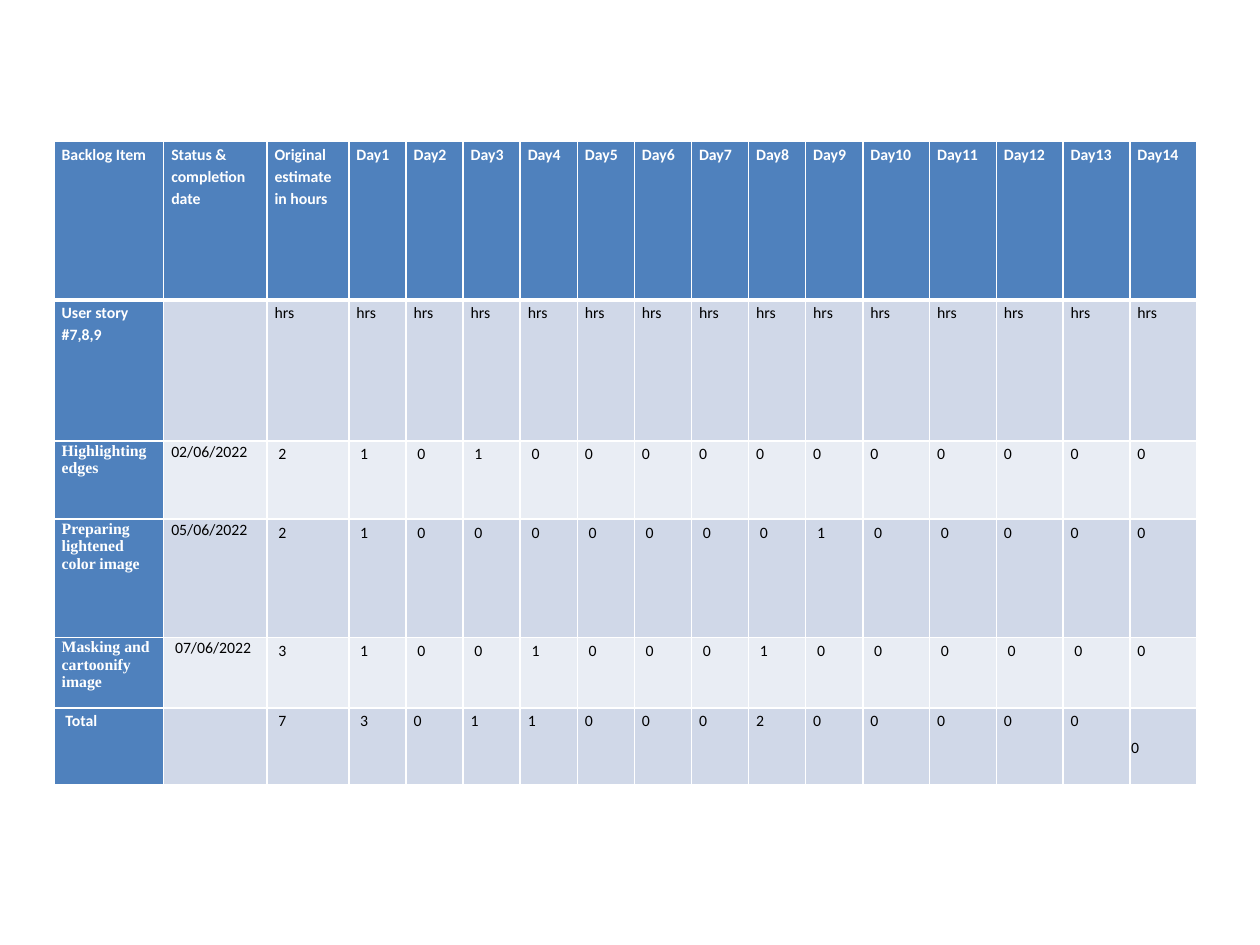
from dataclasses import dataclass

from lxml.etree import SubElement as Sub
from pptx import Presentation
from pptx.dml.color import RGBColor as RGB
from pptx.enum.text import MSO_ANCHOR as Anchor
from pptx.oxml.ns import qn
from pptx.util import Inches, Pt


@dataclass(frozen=True)
class Theme:
    """Colours, fonts and sizes of the slide."""

    head: str = "4F81BD"
    dark: str = "D0D8E8"
    light: str = "E9EDF4"
    white: str = "FFFFFF"
    black: str = "000000"
    sans: str = "Calibri"
    serif: str = "Times New Roman"
    size: int = 9
    after: int = 10
    lead: float = 1.15
    thin: int = 1
    thick: int = 3


@dataclass(frozen=True)
class Row:
    """One table row, with the columns whose text is set further in."""

    texts: list
    height: float
    fill: str
    inset: tuple = ()
    task: bool = False


T = Theme()
DAYS = 14
SHORT = 9
PAD, STEP, EDGE = 0.06, 0.03, 0.01
ROWS = [
    Row(["Backlog Item", "Status & completion date", "Original estimate in hours"]
        + [f"Day{day}" for day in range(1, DAYS + 1)], 1.26, T.head),
    Row(["User story #7,8,9", ""] + ["hrs"] * (DAYS + 1), 1.12, T.dark),
    Row(["Highlighting edges", "02/06/2022", *"210100000000000"],
        0.62, T.light, tuple(range(2, 7)), True),
    Row(["Preparing lightened color image", "05/06/2022", *"210000000100000"],
        0.94, T.dark, tuple(range(2, 14)), True),
    Row(["Masking and cartoonify image", "07/06/2022", *"310010001000000"],
        0.56, T.light, tuple(range(1, 16)), True),
    Row(["Total", "", *"730110002000000"], 0.61, T.dark, (0, 2, 3)),
]


def add_edges(cell, top, base):
    """Draw the four white borders of a cell."""
    props = cell._tc.get_or_add_tcPr()
    for side, width in (("L", T.thin), ("R", T.thin), ("T", top), ("B", base)):
        line = Sub(props, qn(f"a:ln{side}"), w=str(Pt(width)))
        Sub(Sub(line, qn("a:solidFill")), qn("a:srgbClr"), val=T.white)


def add_text(cell, text, bold, serif, loose):
    """Write one styled run into a cell."""
    para = cell.text_frame.paragraphs[0]
    if loose:
        para.line_spacing = T.lead
        para.space_after = Pt(T.after)
    run = para.add_run()
    run.text = text
    font = run.font
    font.name = T.serif if serif else T.sans
    font.size = Pt(T.size)
    font.bold = bold
    font.color.rgb = RGB.from_string(T.white if bold else T.black)


def fill_cell(cell, row, r, c):
    """Set the borders, fill, margins and text of one cell."""
    title = r == 0 or c == 0
    add_edges(cell, T.thick if r == 1 else T.thin, T.thick if r == 0 else T.thin)
    cell.fill.solid()
    cell.fill.fore_color.rgb = RGB.from_string(T.head if title else row.fill)
    cell.margin_left = Inches(PAD + STEP * (c in row.inset))
    cell.margin_right = Inches(PAD)
    cell.margin_top = Inches(EDGE)
    cell.margin_bottom = 0
    if row.texts[c]:
        add_text(cell, row.texts[c], title, row.task and c == 0,
                 not (row.task and c < 2))


def add_backlog(slide, left, top, width):
    """Place the sprint backlog table in its box."""
    lead, wide = [0.87, 0.82, 0.65], [0.53] * (DAYS - SHORT)
    short = (width - sum(lead) - sum(wide)) / SHORT
    cols = lead + [short] * SHORT + wide
    height = sum(row.height for row in ROWS)
    table = slide.shapes.add_table(
        len(ROWS), len(cols), Inches(left), Inches(top),
        Inches(width), Inches(height)).table
    table.first_row = table.horz_banding = False
    for col, size in zip(table.columns, cols):
        col.width = Inches(size)
    for r, row in enumerate(ROWS):
        table.rows[r].height = Inches(row.height)
        for c in range(len(cols)):
            fill_cell(table.cell(r, c), row, r, c)
    last = table.cell(len(ROWS) - 1, len(cols) - 1)
    last.vertical_anchor = Anchor.MIDDLE
    last.margin_left = last.margin_right = Inches(EDGE)


def main():
    """Build and save the deck."""
    deck = Presentation()
    deck.slide_width, deck.slide_height = Inches(10), Inches(7.5)
    slide = deck.slides.add_slide(deck.slide_layouts[6])
    add_backlog(slide, 0.43, 1.12, 9.07)
    deck.save("out.pptx")


if __name__ == "__main__":
    main()
